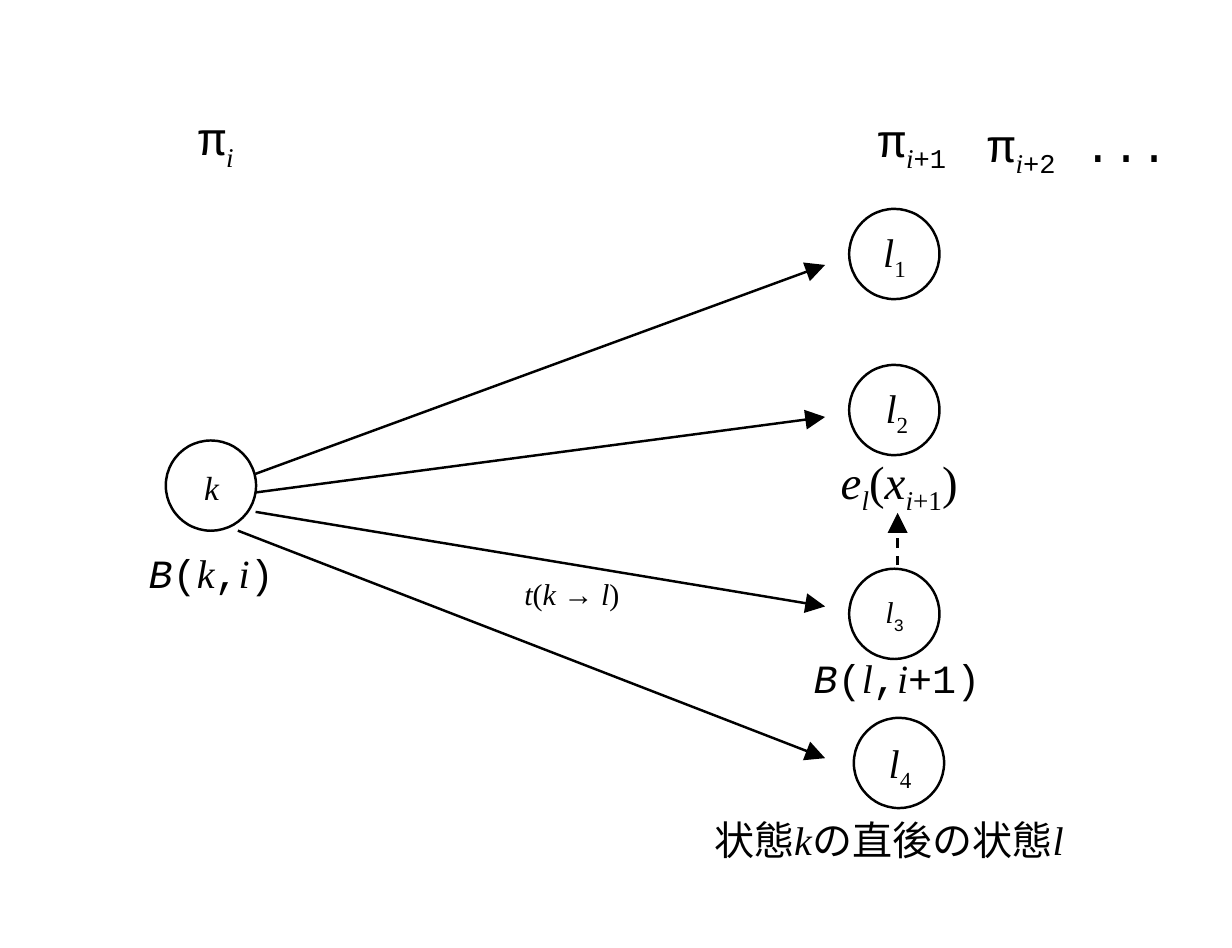
"""Build a slide of the state transitions used by the backward algorithm."""
from dataclasses import dataclass

from lxml import etree
from pptx import Presentation
from pptx.dml.color import RGBColor
from pptx.enum.dml import MSO_LINE
from pptx.enum.shapes import MSO_CONNECTOR, MSO_SHAPE
from pptx.enum.text import MSO_AUTO_SIZE
from pptx.oxml.ns import qn
from pptx.slide import Slide
from pptx.util import Pt

ELLIPSE = MSO_SHAPE.OVAL
STRAIGHT = MSO_CONNECTOR.STRAIGHT
DASH = MSO_LINE.DASH
GROW = MSO_AUTO_SIZE.SHAPE_TO_FIT_TEXT
COLORS = {"ink": "000000", "paper": "FFFFFF"}
MONO = "Courier New"
SERIF = "Times New Roman"
DIAMETER = 27
LINE_WIDTH = 0.75
ARROW_END_X = 246.9
BLANK_LAYOUT = 6


@dataclass(frozen=True)
class State:
    center_x: float
    center_y: float
    filled: bool = True


@dataclass(frozen=True)
class Arrow:
    start_x: float
    start_y: float
    end_x: float
    end_y: float
    dashed: bool = False


@dataclass(frozen=True)
class Span:
    text: str
    font: str = SERIF
    italic: bool = False
    subscript: bool = False


@dataclass(frozen=True)
class Label:
    left: float
    top: float
    width: float
    height: float
    size: float
    spans: tuple[Span, ...]


def variable(text: str, subscript: bool = False) -> Span:
    return Span(text, italic=True, subscript=subscript)


def mono(text: str, italic: bool = False, subscript: bool = False) -> Span:
    return Span(text, MONO, italic, subscript)


def state_name(index: int) -> tuple[Span, ...]:
    return variable("l"), Span(str(index), subscript=True)


def path_symbol(offset: str = "") -> tuple[Span, ...]:
    symbol = (mono("π"), variable("i", subscript=True))
    return symbol + ((mono(offset, subscript=True),) if offset else ())


def backward(state: str, offset: str = "") -> tuple[Span, ...]:
    return (mono("B", italic=True), mono("("), variable(state), mono(","),
            variable("i"), mono(offset + ")"))


STATES = (
    State(267.6, 76),
    State(63.1, 145.3, filled=False),
    State(267.6, 122.7),
    State(267.6, 183.7),
    State(269, 228.3),
)
ARROWS = (
    Arrow(76.5, 141.8, ARROW_END_X, 79.3),
    Arrow(76.5, 147.4, ARROW_END_X, 124.8),
    Arrow(71.2, 158.8, ARROW_END_X, 226.9),
    Arrow(76.5, 153.2, ARROW_END_X, 181.5),
    Arrow(268.6, 169.2, 268.6, 153.5, dashed=True),
)
LABELS = (
    Label(54, 136.2, 21, 19.4, 10, (variable("k"),)),
    Label(257.8, 174.2, 23, 19.4, 9, (variable("l"), mono("3", subscript=True))),
    Label(149.8, 168.6, 45, 18, 9, (
        variable("t"), Span("("), variable("k "), Span("→ "), variable("l"), Span(")"))),
    Label(244.5, 131.8, 52, 26.6, 14, (
        variable("e"), variable("l", subscript=True), Span("("), variable("x"),
        variable("i", subscript=True), Span("+1", subscript=True), Span(")"))),
    Label(206.6, 240.5, 130, 21.6, 12, (
        mono("状態"), variable("k"), mono("の直後の状態"), variable("l"))),
    Label(257.2, 64.4, 23, 23.8, 12, state_name(1)),
    Label(257.9, 111.2, 23, 23.8, 12, state_name(2)),
    Label(258.8, 217.6, 23, 23.8, 12, state_name(4)),
    Label(255.6, 29.5, 37, 26.6, 14, path_symbol("+1")),
    Label(52.2, 29, 28, 26.6, 14, path_symbol()),
    Label(236.4, 191.9, 67, 21.6, 12, backward("l", "+1")),
    Label(288.4, 31, 71, 26.6, 14, path_symbol("+2") + (mono(" ..."),)),
    Label(37.4, 160.6, 54, 21.6, 12, backward("k")),
)


def color(name: str) -> RGBColor:
    return RGBColor.from_string(COLORS[name])


def draw_state(page: Slide, state: State) -> None:
    radius = DIAMETER / 2
    circle = page.shapes.add_shape(
        ELLIPSE, Pt(state.center_x - radius), Pt(state.center_y - radius),
        Pt(DIAMETER), Pt(DIAMETER))
    circle.shadow.inherit = False
    if state.filled:
        circle.fill.solid()
        circle.fill.fore_color.rgb = color("paper")
    else:
        circle.fill.background()
    circle.line.color.rgb = color("ink")
    circle.line.width = Pt(LINE_WIDTH)


def draw_arrow(page: Slide, arrow: Arrow) -> None:
    connector = page.shapes.add_connector(
        STRAIGHT, Pt(arrow.start_x), Pt(arrow.start_y), Pt(arrow.end_x), Pt(arrow.end_y))
    connector.line.color.rgb = color("ink")
    connector.line.width = Pt(LINE_WIDTH)
    if arrow.dashed:
        connector.line.dash_style = DASH
    properties = connector._element.spPr
    etree.SubElement(properties.find(qn("a:ln")), qn("a:tailEnd"), type="triangle")
    etree.SubElement(properties, qn("a:effectLst"))


def add_span(para, text: str, *, size: float, font: str, italic: bool, subscript: bool) -> None:
    run = para.add_run()
    run.text = text
    run.font.size = Pt(size)
    run.font.name = font
    run.font.italic = italic
    run.font.color.rgb = color("ink")
    if subscript:
        run._r.get_or_add_rPr().set("baseline", "-25000")


def draw_label(page: Slide, label: Label) -> None:
    box = page.shapes.add_textbox(
        Pt(label.left), Pt(label.top), Pt(label.width), Pt(label.height))
    box.text_frame.word_wrap = False
    box.text_frame.auto_size = GROW
    para = box.text_frame.paragraphs[0]
    for span in label.spans:
        add_span(para, span.text, size=label.size, font=span.font,
                 italic=span.italic, subscript=span.subscript)


def main() -> None:
    deck = Presentation()
    deck.slide_width, deck.slide_height = Pt(368.64), Pt(283.68)
    page = deck.slides.add_slide(deck.slide_layouts[BLANK_LAYOUT])
    for state in STATES:
        draw_state(page, state)
    for arrow in ARROWS:
        draw_arrow(page, arrow)
    for label in LABELS:
        draw_label(page, label)
    deck.save("out.pptx")


if __name__ == "__main__":
    main()
